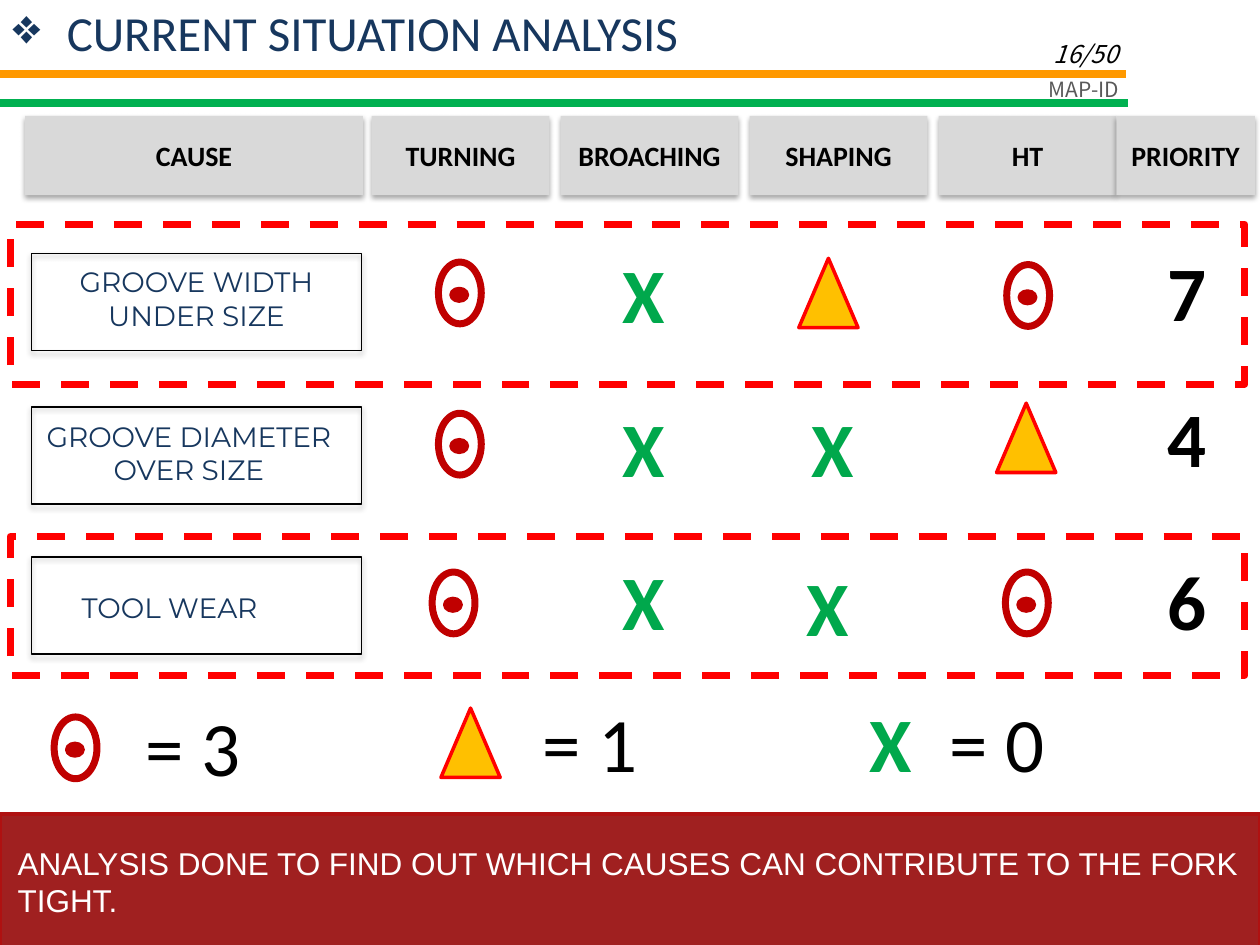
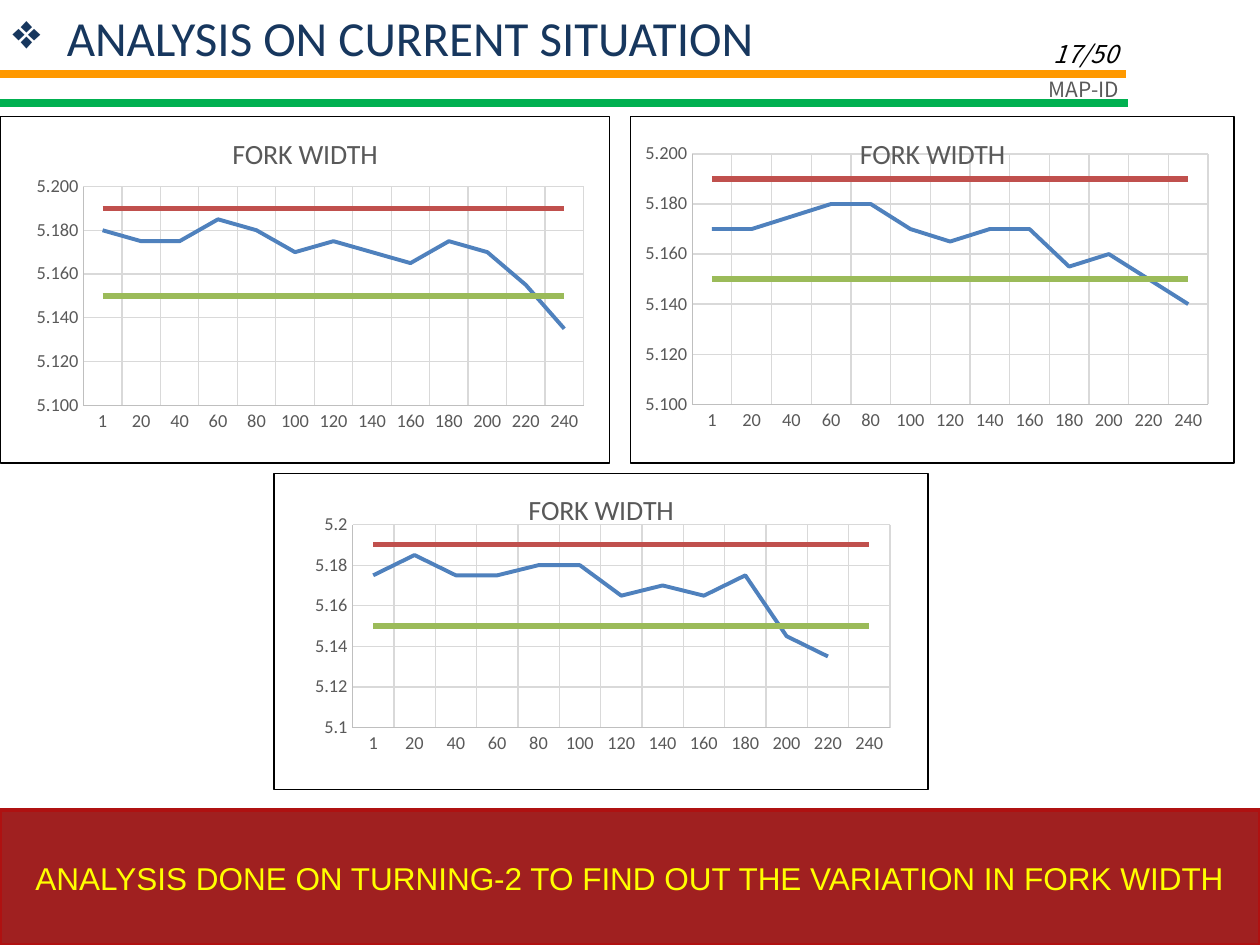
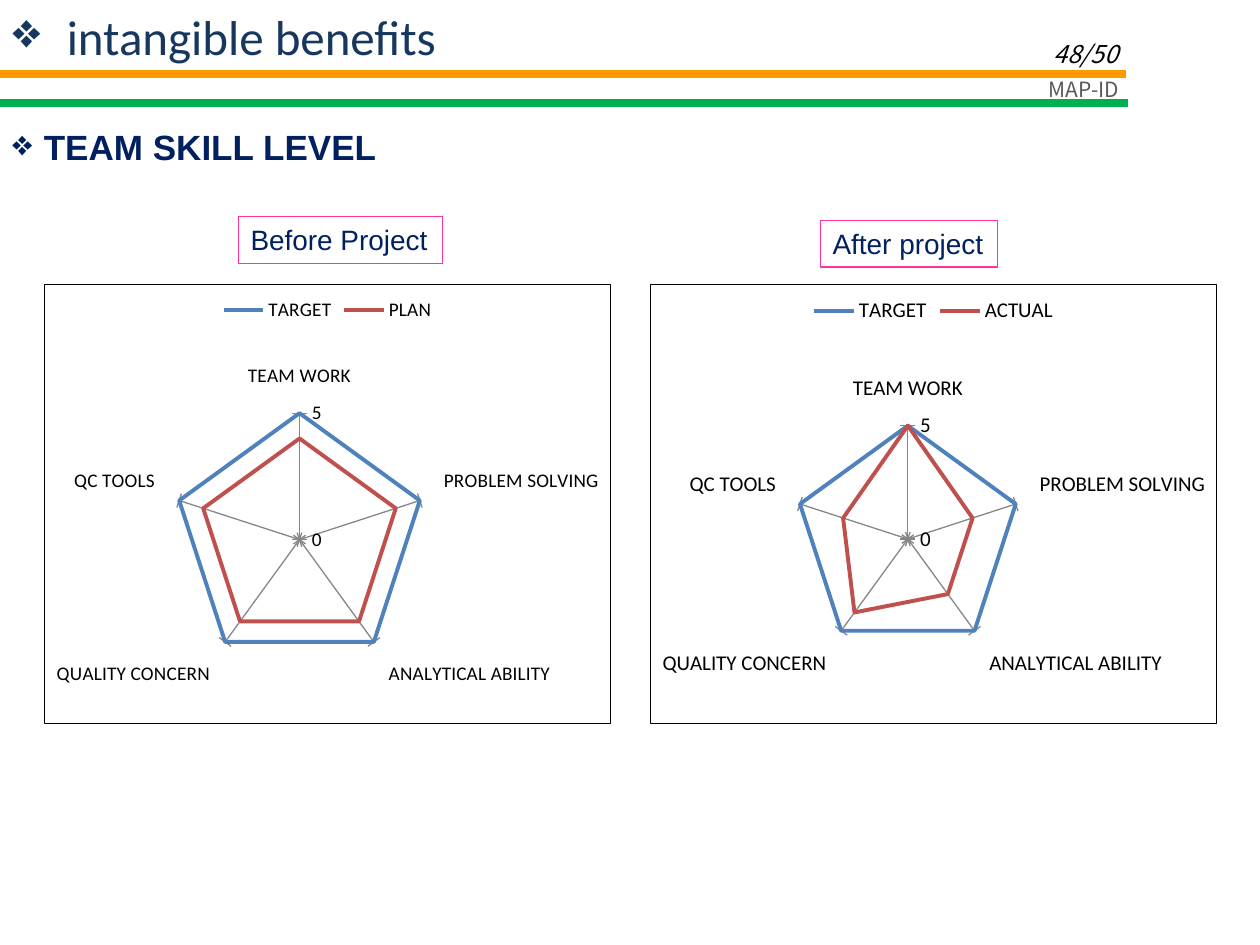
from pptx import Presentation
from pptx.chart.data import CategoryChartData
from pptx.dml.color import RGBColor
from pptx.enum.chart import XL_CHART_TYPE, XL_LEGEND_POSITION, XL_TICK_MARK
from pptx.enum.dml import MSO_LINE
from pptx.enum.shapes import MSO_CONNECTOR, MSO_SHAPE
from pptx.enum.text import MSO_ANCHOR, MSO_AUTO_SIZE, PP_ALIGN
from pptx.oxml import parse_xml
from pptx.oxml.ns import nsdecls, qn
from pptx.util import Inches, Pt

LEFT, CENTER, RIGHT = PP_ALIGN.LEFT, PP_ALIGN.CENTER, PP_ALIGN.RIGHT
TOP, MIDDLE, BOTTOM = MSO_ANCHOR.TOP, MSO_ANCHOR.MIDDLE, MSO_ANCHOR.BOTTOM
RECTANGLE, TRIANGLE = MSO_SHAPE.RECTANGLE, MSO_SHAPE.ISOSCELES_TRIANGLE
CIRCLE = MSO_SHAPE.FLOWCHART_CONNECTOR
LINE_CHART, RADAR_CHART = XL_CHART_TYPE.LINE, XL_CHART_TYPE.RADAR
DASH = MSO_LINE.DASH
TICK_NONE, TICK_OUT, TICK_CROSS = XL_TICK_MARK.NONE, XL_TICK_MARK.OUTSIDE, XL_TICK_MARK.CROSS


class Theme:
    font, plain_font, label_font, note_font = "Calibri", "Arial", "Montserrat", "Noto Sans CJK JP"
    black, white, yellow = "000000", "FFFFFF", "FFFF00"
    title, navy, gray, header = "17375E", "002060", "595959", "D9D9D9"
    orange, green, pink = "FF9900", "00B050", "FF3399"
    ring, cross, alert, amber = "C00000", "00A84C", "FF0000", "FFC000"
    band, band_line = "A02020", "AF1111"
    axis, grid, spoke = "BFBFBF", "D9D9D9", "868686"
    series = ["4F81BD", "C0504D", "9BBB59"]
    title_size, heading_size, band_size, label_size = 28, 20, 18, 16
    page_size, note_size, mark_size, axis_size = 14, 12, 44, 10.5


def add_text(shapes, text, box, *, shape=None, kind=None, size=16, color=Theme.black,
             font=Theme.font, bold=False, italic=False, align=LEFT, anchor=TOP, wrap=True,
             bullet_indent=None, fill=None, line=None, line_width=0.75, dash=None,
             shadow=None, text_shadow=None, inset=(0.1, 0.05)):
    """Place text in a text box, a preset shape (kind) or a given placeholder (shape)."""
    left, top, width, height = [Inches(length) for length in box]
    if shape is not None:
        shape.left, shape.top, shape.width, shape.height = left, top, width, height
    elif kind is None:
        shape = shapes.add_textbox(left, top, width, height)
    else:
        shape = shapes.add_shape(kind, left, top, width, height)
        shape.fill.background()
        shape.line.fill.background()
        shape.shadow.inherit = False
    if fill:
        shape.fill.solid()
        shape.fill.fore_color.rgb = RGBColor.from_string(fill)
    if line:
        shape.line.color.rgb = RGBColor.from_string(line)
        shape.line.width = Pt(line_width)
        shape.line.dash_style = dash
    if shadow:
        properties = shape._element.spPr
        properties.replace(properties.find(qn("a:effectLst")), parse_xml(shadow))
    if not text:
        return shape

    frame = shape.text_frame
    frame.auto_size = MSO_AUTO_SIZE.NONE
    frame.word_wrap, frame.vertical_anchor = wrap, anchor
    frame.margin_left = frame.margin_right = Inches(inset[0])
    frame.margin_top = frame.margin_bottom = Inches(inset[1])
    frame.text = text
    for paragraph in frame.paragraphs:
        paragraph.alignment = align
        if bullet_indent:
            settings = paragraph._p.get_or_add_pPr()
            settings.set("marL", str(Inches(bullet_indent)))
            settings.set("indent", str(-Inches(bullet_indent)))
            settings.append(parse_xml(f'<a:buChar {nsdecls("a")} char="❖"/>'))
        for run in paragraph.runs:
            run.font.size, run.font.name = Pt(size), font
            run.font.bold, run.font.italic = bold, italic
            run.font.color.rgb = RGBColor.from_string(color)
            if text_shadow:
                run._r.rPr.find(qn("a:solidFill")).addnext(parse_xml(text_shadow))
    return shape


def add_framed_chart(slide, kind, box, categories, series, widths, size, text_color):
    """Add a chart with a thin black frame and coloured series lines."""
    data = CategoryChartData()
    data.categories = categories
    for name, values in series:
        data.add_series(name, values)
    chart = slide.shapes.add_chart(kind, *[Inches(length) for length in box], data).chart
    chart.font.size, chart.font.name = Pt(size), Theme.font
    chart.font.color.rgb = RGBColor.from_string(text_color)
    chart.has_legend = False
    space = chart._chartSpace
    space.find(qn("c:chart")).addnext(parse_xml(
        f'<c:spPr {nsdecls("c", "a")}><a:solidFill><a:srgbClr val="{Theme.white}"/></a:solidFill>'
        f'<a:ln w="{Pt(0.75)}"><a:solidFill><a:srgbClr val="{Theme.black}"/></a:solidFill></a:ln>'
        '</c:spPr>'))
    if space.find(qn("c:roundedCorners")) is None:
        space.find(qn("c:date1904")).addnext(
            parse_xml(f'<c:roundedCorners {nsdecls("c")} val="0"/>'))
    chart.plots[0].vary_by_categories = False
    for item, color, width in zip(chart.plots[0].series, Theme.series, widths):
        item.format.line.color.rgb = RGBColor.from_string(color)
        item.format.line.width = Pt(width)
        if kind == LINE_CHART:
            item.smooth = False
    return chart


SHADOW = (f'<a:effectLst {nsdecls("a")}><a:outerShdw blurRad="{{}}" dist="{{}}" dir="{{}}" '
          'algn="ctr" rotWithShape="0"><a:srgbClr val="000000"><a:alpha val="{}"/></a:srgbClr>'
          '</a:outerShdw></a:effectLst>')
BOX_SHADOW = SHADOW.format(Pt(3.1), Pt(1.8), 5400000, 35000)
TITLE_SHADOW = SHADOW.format(Pt(4), Pt(3), 2700000, 50000)

presentation = Presentation()
presentation.slide_width, presentation.slide_height = Inches(10), Inches(7.5)
title_only = presentation.slide_layouts[5]

# Shared parts: title, page number, two rules and the map label
slides = []
for title, title_top, page in [("CURRENT SITUATION ANALYSIS", -0.03, "16/50"),
                               ("ANALYSIS ON CURRENT SITUATION", 0.01, "17/50"),
                               ("intangible benefits", 0, "48/50")]:
    slide = presentation.slides.add_slide(title_only)
    slides.append(slide)
    add_text(slide.shapes, title, (0, title_top, 10, 0.57), shape=slide.shapes.title,
             size=Theme.title_size, color=Theme.title, bullet_indent=0.43,
             text_shadow=TITLE_SHADOW)
    add_text(slide.shapes, page, (6.89, 0.09, 2.08, 0.5), size=Theme.page_size,
             font=Theme.note_font, italic=True, align=RIGHT, anchor=BOTTOM)
    for left, top, color in [(-0.01, 0.59, Theme.orange), (0, 0.82, Theme.green)]:
        rule = slide.shapes.add_connector(MSO_CONNECTOR.STRAIGHT, Inches(left), Inches(top),
                                          Inches(left + 8.95), Inches(top))
        rule.line.color.rgb = RGBColor.from_string(color)
        rule.line.width = Pt(4.5)
        rule._element.spPr.append(parse_xml(f'<a:effectLst {nsdecls("a")}/>'))
    add_text(slide.shapes, "MAP-ID", (7.48, 0.56, 1.5, 0.3), size=Theme.note_size,
             color=Theme.gray, font=Theme.note_font, align=RIGHT)
causes_slide, width_slide, skills_slide = slides

# Red conclusion bands
for slide, text, top, color, align in [
        (causes_slide, "ANALYSIS DONE TO FIND OUT WHICH CAUSES CAN CONTRIBUTE TO THE FORK TIGHT.",
         6.46, Theme.white, LEFT),
        (width_slide, "ANALYSIS DONE ON TURNING-2 TO FIND OUT THE VARIATION IN FORK WIDTH",
         6.43, Theme.yellow, CENTER)]:
    add_text(slide.shapes, text, (0, top, 10, 1.07), kind=RECTANGLE, size=Theme.band_size,
             color=color, font=Theme.plain_font, align=align, anchor=MIDDLE, fill=Theme.band,
             line=Theme.band_line, line_width=2.25, inset=(0.14, 0.07))

# Cause matrix: column headers
shapes = causes_slide.shapes
columns = [("CAUSE", 0.2, 2.68)]
for index, process in enumerate(["TURNING", "BROACHING", "SHAPING", "HT"]):
    columns.append((process, 2.95 + 1.5 * index, 1.41))
columns.append(("PRIORITY", 8.86, 1.1))
for label, left, width in columns:
    add_text(shapes, label, (left, 0.92, width, 0.63), kind=RECTANGLE, size=Theme.label_size,
             bold=True, align=CENTER, anchor=MIDDLE, fill=Theme.header, shadow=BOX_SHADOW,
             inset=(0.05, 0.05))

# Cause matrix: causes with their priorities
for cause, frame_top, text_box, align, priority, priority_top in [
        ("GROOVE WIDTH UNDER SIZE", 2.01, (0.26, 2.05, 2.6, 0.64), CENTER, "7", 1.89),
        ("GROOVE DIAMETER\nOVER SIZE", 3.23, (0.16, 3.28, 2.68, 0.64), CENTER, "4", 3.05),
        ("TOOL WEAR", 4.42, (0.55, 4.64, 1.69, 0.37), LEFT, "6", 4.34)]:
    add_text(shapes, "", (0.25, frame_top, 2.62, 0.77), kind=RECTANGLE, line=Theme.black,
             shadow=BOX_SHADOW)
    add_text(shapes, cause, text_box, size=Theme.label_size, color=Theme.title,
             font=Theme.label_font, align=align)
    add_text(shapes, priority, (9.17, priority_top, 0.51, 0.84), size=Theme.mark_size, bold=True)

# Cause matrix and key: marks given by their centres
marks = [
    ("ring", 3.65, 2.32), ("cross", 5.12, 2.35), ("triangle", 6.58, 2.33), ("ring", 8.16, 2.34),
    ("ring", 3.65, 3.52), ("cross", 5.12, 3.57), ("cross", 6.62, 3.57), ("triangle", 8.15, 3.48),
    ("ring", 3.6, 4.78), ("cross", 5.12, 4.78), ("cross", 6.58, 4.83), ("ring", 8.15, 4.78),
    ("ring", 0.6, 5.93), ("triangle", 3.74, 5.9), ("cross", 7.08, 5.91),
]
for mark, x, y in marks:
    if mark == "ring":
        group = shapes.add_group_shape()
        add_text(group.shapes, "", (x - 0.17, y - 0.24, 0.34, 0.49), kind=CIRCLE,
                 line=Theme.ring, line_width=4)
        add_text(group.shapes, "", (x - 0.07, y - 0.03, 0.13, 0.1), kind=CIRCLE,
                 fill=Theme.ring, line=Theme.ring, line_width=2)
    elif mark == "triangle":
        add_text(shapes, "", (x - 0.24, y - 0.28, 0.47, 0.55), kind=TRIANGLE,
                 fill=Theme.amber, line=Theme.alert, line_width=2)
    else:
        add_text(shapes, "X", (x - 0.28, y - 0.44, 0.55, 0.87), size=Theme.mark_size,
                 color=Theme.cross, bold=True)
for text, left, top in [("= 3", 1.06, 5.5), ("= 1", 4.21, 5.47), ("= 0", 7.44, 5.47)]:
    add_text(shapes, text, (left, top, 1.57, 0.84), size=Theme.mark_size)

# Dashed frames around the two leading causes
for top, height in [(1.78, 1.27), (4.26, 1.1)]:
    add_text(shapes, "", (0.08, top, 9.8, height), kind=RECTANGLE, line=Theme.alert,
             line_width=4, dash=DASH)

# Fork width: measured values between the upper and lower limits
pieces = ["1"] + [str(count) for count in range(20, 241, 20)]
upper_limit, lower_limit = [5.19] * len(pieces), [5.15] * len(pieces)
for box, plot_area, number_format, measured in [
        ((0, 0.92, 4.84, 2.76), (0.136, 0.202, 0.822, 0.632), "0.000",
         [5.18, 5.175, 5.175, 5.185, 5.18, 5.17, 5.175, 5.17, 5.165, 5.175, 5.17, 5.155, 5.135]),
        ((5, 0.92, 4.8, 2.76), (0.102, 0.108, 0.855, 0.723), "0.000",
         [5.17, 5.17, 5.175, 5.18, 5.18, 5.17, 5.165, 5.17, 5.17, 5.155, 5.16, 5.15, 5.14]),
        ((2.17, 3.75, 5.2, 2.52), (0.12, 0.163, 0.822, 0.642), "General",
         [5.175, 5.185, 5.175, 5.175, 5.18, 5.18, 5.165, 5.17, 5.165, 5.175, 5.145, 5.135, None])]:
    series = [("Series 1", measured), ("Series 2", upper_limit), ("Series 3", lower_limit)]
    chart = add_framed_chart(width_slide, LINE_CHART, box, pieces, series, (2.25, 3, 3),
                             Theme.axis_size, Theme.gray)
    chart.has_title = True
    chart.chart_title.text_frame.text = "FORK WIDTH"
    title_font = chart.chart_title.text_frame.paragraphs[0].runs[0].font
    title_font.size, title_font.bold, title_font.name = Pt(Theme.label_size), False, Theme.font
    title_font.color.rgb = RGBColor.from_string(Theme.gray)
    for axis in (chart.category_axis, chart.value_axis):
        axis.major_tick_mark = TICK_NONE
        axis.has_major_gridlines = True
        for line, color in [(axis.format.line, Theme.axis),
                            (axis.major_gridlines.format.line, Theme.grid)]:
            line.color.rgb = RGBColor.from_string(color)
            line.width = Pt(0.75)
    value_axis = chart.value_axis
    value_axis.minimum_scale, value_axis.maximum_scale, value_axis.major_unit = 5.1, 5.2, 0.02
    value_axis.tick_labels.number_format = number_format
    value_axis.tick_labels.number_format_is_linked = False
    plot = chart._chartSpace.chart.plotArea
    for layout in plot.findall(qn("c:layout")):
        plot.remove(layout)
    places = "".join(f'<c:{name} val="{share}"/>' for name, share in zip("xywh", plot_area))
    plot.insert(0, parse_xml(
        f'<c:layout {nsdecls("c")}><c:manualLayout><c:layoutTarget val="inner"/>'
        f'<c:xMode val="edge"/><c:yMode val="edge"/>{places}</c:manualLayout></c:layout>'))

# Team skills: heading, captions and radar charts
add_text(skills_slide.shapes, "TEAM SKILL LEVEL", (0, 0.95, 10, 0.44), size=Theme.heading_size,
         color=Theme.navy, font=Theme.plain_font, bold=True, bullet_indent=0.25)
skills = ["TEAM WORK", "PROBLEM SOLVING", "ANALYTICAL ABILITY", "QUALITY CONCERN", "QC TOOLS"]
for caption, caption_box, left, size, name, scores in [
        ("Before Project", (1.89, 1.72, 1.62, 0.37), 0.35, 11, "PLAN", [4, 4, 4, 4, 4]),
        ("After project", (6.51, 1.75, 1.41, 0.37), 5.16, 12, "ACTUAL", [5, 3, 3, 4, 3])]:
    add_text(skills_slide.shapes, caption, caption_box, kind=RECTANGLE, size=Theme.label_size,
             color=Theme.navy, font=Theme.plain_font, wrap=False, line=Theme.pink)
    chart = add_framed_chart(skills_slide, RADAR_CHART, (left, 2.25, 4.5, 3.5), skills,
                             [("TARGET", [5] * len(skills)), (name, scores)], (2.25, 2.25),
                             size, Theme.black)
    chart.has_title = False
    chart.has_legend = True
    chart.legend.position = XL_LEGEND_POSITION.TOP
    chart.legend.include_in_layout = False
    for axis, tick in [(chart.category_axis, TICK_OUT), (chart.value_axis, TICK_CROSS)]:
        axis.major_tick_mark = tick
        axis.has_major_gridlines = True
        for line in (axis.format.line, axis.major_gridlines.format.line):
            line.color.rgb = RGBColor.from_string(Theme.spoke)
            line.width = Pt(0.75)
    value_axis = chart.value_axis
    value_axis.minimum_scale, value_axis.maximum_scale, value_axis.major_unit = 0, 5, 5

presentation.save("out.pptx")
